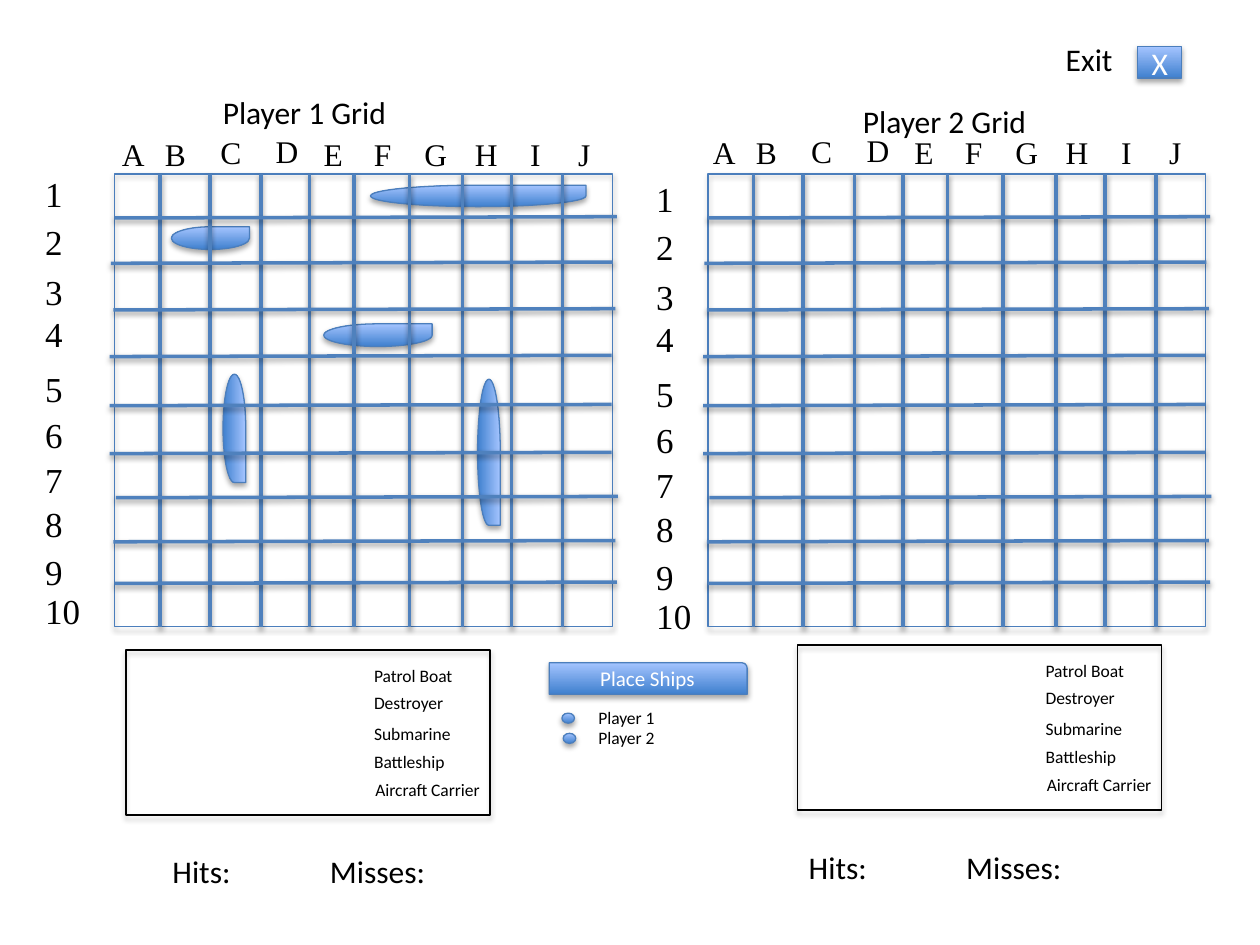
from lxml.etree import SubElement as Sub
from pptx import Presentation
from pptx.dml.color import RGBColor
from pptx.enum.shapes import MSO_CONNECTOR as Link, MSO_SHAPE as Kind
from pptx.enum.text import MSO_ANCHOR as Anchor, PP_ALIGN as Align
from pptx.oxml.ns import qn
from pptx.util import Inches, Pt

# Content: label with its place, offsets are for the left player
cols = [("A", 0.87, 1.02), ("B", 1.21, 1.02), ("C", 1.65, 1.01),
        ("D", 2.09, 1), ("E", 2.47, 1.02), ("F", 2.87, 1.02),
        ("G", 3.27, 1.02), ("H", 3.67, 1.02), ("I", 4.11, 1.02),
        ("J", 4.49, 1.02)]
rows = [1.32, 1.7, 2.1, 2.43, 2.87, 3.23, 3.59, 3.94, 4.32, 4.63]
fleet = [("Patrol Boat", 5.23), ("Destroyer", 5.44), ("Submarine", 5.69),
         ("Battleship", 5.91), ("Aircraft Carrier", 6.13)]
ships = [(1.36, 1.8, 0.62, 0.18, 0), (2.57, 2.57, 0.86, 0.18, 0),
         (1.43, 3.31, 0.86, 0.18, 90), (3.3, 3.5, 1.16, 0.18, 90),
         (2.94, 1.47, 1.71, 0.17, 0)]
bars = [1.27, 1.665, 2.07, 2.455, 2.81, 3.25, 3.67, 4.06, 4.465]
rules = [(0.91, 1.73), (0.88, 2.09), (0.9, 2.46), (0.87, 2.83), (0.87, 3.22),
         (0.87, 3.6), (0.92, 3.95), (0.9, 4.3), (0.91, 4.63)]
# Shift of each part from the left player to the right one
sides = [
    dict(name="Player 1 Grid", title=(1.67, 0.69), grid=0, num=(0, 0),
         col=(0, 0), list=(0, 0), score=(1.27, 6.71), ships=ships),
    dict(name="Player 2 Grid", title=(6.75, 0.76), grid=4.71, num=(4.85, 0.04),
         col=(4.69, -0.01), list=(5.33, -0.04), score=(6.32, 6.68), ships=[]),
]
picks = [("Player 1", 5.56, 4.46, 5.66), ("Player 2", 5.72, 4.47, 5.82)]
EDGE, BAR, INK = "4B7EBC", "4F81BD", "000000"
SERIF = "Times New Roman"

deck = Presentation()
deck.slide_width, deck.slide_height = Inches(10), Inches(7.5)
slide = deck.slides.add_slide(deck.slide_layouts[6])
parts = slide.shapes


def tint(code):
    return RGBColor.from_string(code)


def style(frame, size, color, font):
    for para in frame.paragraphs:
        for run in para.runs:
            run.font.size, run.font.name = Pt(size), font
            run.font.color.rgb = tint(color)


def shade(item, alpha, dist):
    props = item._element.spPr
    box = props.find(qn("a:effectLst"))
    if box is None:
        box = Sub(props, qn("a:effectLst"))
    cast = Sub(box, qn("a:outerShdw"), blurRad=str(Pt(3.1)),
               dist=str(Pt(dist)), dir="5400000", rotWithShape="0")
    ink = Sub(cast, qn("a:srgbClr"), val=INK)
    Sub(ink, qn("a:alpha"), val=str(alpha * 1000))


def text(words, x, y, w, h, size, font="Calibri", wrap=True):
    frame = parts.add_textbox(*map(Inches, (x, y, w, h))).text_frame
    frame.word_wrap = wrap
    frame.text = words
    style(frame, size, INK, font)
    return frame


def shape(kind, x, y, w, h, edge=EDGE, full=True, turn=0, words="", size=18):
    item = parts.add_shape(kind, *map(Inches, (x, y, w, h)))
    item.rotation = turn
    if full:
        item.fill.gradient()
        item.fill.gradient_angle = 90
        for stop, code, pos in zip(item.fill.gradient_stops,
                                   ("3F80CE", "A4C4FF"), (0, 1)):
            stop.color.rgb, stop.position = tint(code), pos
    else:
        item.fill.background()
    item.line.color.rgb, item.line.width = tint(edge), Pt(0.75)
    item.shadow.inherit = False
    shade(item, 35, 1.8)
    if words:
        frame = item.text_frame
        frame.text = words
        frame.vertical_anchor = Anchor.MIDDLE
        frame.paragraphs[0].alignment = Align.CENTER
        style(frame, size, "FFFFFF", "Calibri")


def line(x1, y1, x2, y2):
    item = parts.add_connector(Link.STRAIGHT, *map(Inches, (x1, y1, x2, y2)))
    item.line.color.rgb, item.line.width = tint(BAR), Pt(2)
    shade(item, 38, 1.6)


for side in sides:
    # Board with ships below the grid lines
    dx = side["grid"]
    shape(Kind.RECTANGLE, 0.91 + dx, 1.38, 3.95, 3.59, full=False)
    text(side["name"], *side["title"], 1.66, 0.4, 18)
    for *place, turn in side["ships"]:
        shape(Kind.TEAR, *place, turn=turn)
    for x in bars:
        line(x + dx, 1.38, x + dx, 4.98)
    for x, y in rules:
        line(x + dx, y, x + dx + 3.985, y - 0.01)

    # Row and column labels
    dx, dy = side["num"]
    for num, y in enumerate(rows, 1):
        text(str(num), 0.26 + dx, y + dy, 0.48, 0.44, 20, SERIF)
    dx, dy = side["col"]
    for mark, x, y in cols:
        text(mark, x + dx, y + dy, 0.4, 0.4, 18, SERIF)

    # Fleet list
    dx, dy = side["list"]
    shape(Kind.RECTANGLE, 1 + dx, 5.16 + dy, 2.89, 1.31, INK, False)
    for name, y in fleet:
        long = name == "Aircraft Carrier"
        text(name, (2.88 if long else 2.87) + dx, y + dy,
             1.08 if long else 0.92, 0.27, 10)

    # Score, spaced by a tab stop
    frame = text("Hits:\tMisses:", *side["score"], 2.62, 0.41, 18)
    tabs = Sub(frame.paragraphs[0]._p.get_or_add_pPr(), qn("a:tabLst"))
    Sub(tabs, qn("a:tab"), pos=str(Inches(1.25)), algn="l")

# Controls
shape(Kind.ROUND_1_RECTANGLE, 4.36, 5.26, 1.57, 0.25,
      words="Place Ships", size=12)
for name, y, dot_x, dot_y in picks:
    shape(Kind.OVAL, dot_x, dot_y, 0.1, 0.08)
    text(name, 4.65, y, 0.92, 0.27, 10)
shape(Kind.RECTANGLE, 9.03, 0.37, 0.35, 0.25, words="X")
text("Exit", 8.36, 0.27, 0.58, 0.4, 18, wrap=False)

deck.save("out.pptx")
